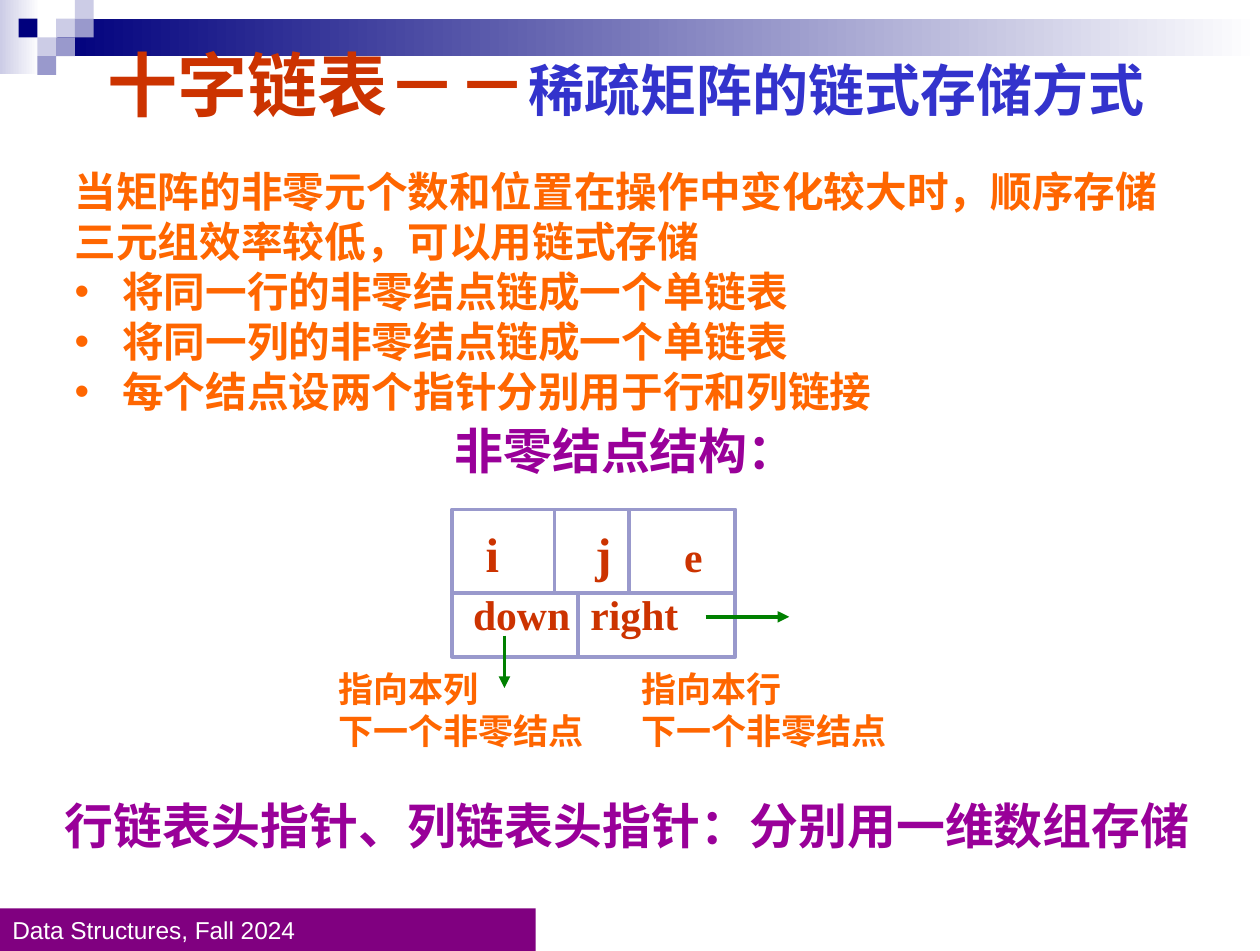
from lxml import etree
from pptx import Presentation
from pptx.dml.color import RGBColor
from pptx.enum.shapes import MSO_CONNECTOR, MSO_SHAPE
from pptx.enum.text import MSO_ANCHOR, MSO_AUTO_SIZE, PP_ALIGN
from pptx.oxml.ns import qn
from pptx.util import Inches, Pt

RECT, LINE = MSO_SHAPE.RECTANGLE, MSO_CONNECTOR.STRAIGHT
TOP, MIDDLE = MSO_ANCHOR.TOP, MSO_ANCHOR.MIDDLE
LEFT, FIXED = PP_ALIGN.LEFT, MSO_AUTO_SIZE.NONE
HAN, SERIF, SANS = "Noto Sans CJK SC", "Times New Roman", "Arial"
NAVY, PALE, LILAC = "00007D", "CCCCE6", "9999CC"
RED, BLUE, ORANGE, PURPLE, GREEN = "CC3300", "3333CC", "FF6600", "990099", "008000"
WIDE, HIGH = 10.09, 7.616
LEAD = 1.2


def color(code):
    return RGBColor.from_string(code)


def put(item, values):
    for name, value in values.items():
        setattr(item, name, value)


def block(slide, box, fill=None, edge=None):
    """Add a rectangle; a pair of fill colours makes a gradient."""
    shape = slide.shapes.add_shape(RECT, *map(Inches, box))
    shape.shadow.inherit = False
    if isinstance(fill, tuple):
        shape.fill.gradient()
        shape.fill.gradient_angle = 0
        for stop, code in zip(shape.fill.gradient_stops, fill):
            stop.color.rgb = color(code)
    elif fill:
        shape.fill.solid()
        shape.fill.fore_color.rgb = color(fill)
    else:
        shape.fill.background()
    if edge:
        shape.line.color.rgb = color(edge)
        shape.line.width = Pt(2.25)
    else:
        shape.line.fill.background()
    return shape


def line(slide, start, end, code, width=2.25, arrow=False):
    link = slide.shapes.add_connector(LINE, *map(Inches, (*start, *end)))
    link.line.color.rgb = color(code)
    link.line.width = Pt(width)
    if arrow:
        etree.SubElement(link.line._get_or_add_ln(), qn("a:tailEnd"), type="triangle")
    etree.SubElement(link._element.spPr, qn("a:effectLst"))


def frame(shape, anchor=TOP, inset=0.04):
    text = shape.text_frame
    put(text, {"word_wrap": True, "auto_size": FIXED, "vertical_anchor": anchor,
               "margin_left": Inches(0.1), "margin_right": Inches(0.1),
               "margin_top": Inches(inset), "margin_bottom": Inches(0.04)})
    return text


def write(para, runs, font=SERIF, bold=True, lead=None):
    """Fill a paragraph with (text, size, colour) runs."""
    put(para, {"alignment": LEFT, "space_before": Pt(0), "line_spacing": lead})
    for words, size, code in runs:
        run = para.add_run()
        run.text = words
        put(run.font, {"size": Pt(size), "bold": bold, "name": font})
        run.font.color.rgb = color(code)
        etree.SubElement(run._r.get_or_add_rPr(), qn("a:ea"), typeface=HAN)


def bullet(para):
    props = para._p.get_or_add_pPr()
    props.set("marL", str(Inches(0.38)))
    props.set("indent", str(-Inches(0.38)))
    etree.SubElement(props, qn("a:buFont"), typeface=SANS)
    etree.SubElement(props, qn("a:buChar"), char="•")


def tabs(para, stops):
    stop_list = etree.SubElement(para._p.get_or_add_pPr(), qn("a:tabLst"))
    for stop in stops:
        etree.SubElement(stop_list, qn("a:tab"), pos=str(Inches(stop)), algn="l")


def label(slide, box, rows, size, code, marked=False):
    """Add a text box with one paragraph a row; marked puts bullets after the first."""
    text = frame(slide.shapes.add_textbox(*map(Inches, box)))
    for n, row in enumerate(rows):
        para = text.add_paragraph() if n else text.paragraphs[0]
        if marked and n:
            bullet(para)
        write(para, [(row, size, code)], lead=Pt(round(size * LEAD, 1)))


def banner(slide, box):
    x, y, w, h = box
    step = 0.15
    block(slide, (x, y, 0.32, 0.59), (PALE, "FFFFFF"))
    block(slide, (x + 0.46, y + step, w - 0.46, h), (NAVY, "FFFFFF"))
    for col, row, code in ((3, 1, PALE), (4, 0, PALE), (4, 1, LILAC), (2, 2, PALE),
                           (1, 1, NAVY), (3, 2, LILAC), (2, 3, LILAC)):
        block(slide, (x + col * step, y + row * step, step, step), code)


def heading(slide, box):
    title = slide.shapes.title
    put(title, dict(zip(("left", "top", "width", "height"), map(Inches, box))))
    write(frame(title).paragraphs[0],
          [("十字链表－－", 40.4, RED), ("稀疏矩阵的链式存储方式", 32.3, BLUE)],
          HAN, lead=Pt(49.2))
    title._element.getparent().append(title._element)


def footer(slide, box):
    text = frame(block(slide, box, "800080"), MIDDLE)
    write(text.paragraphs[0], [("Data Structures, Fall 2024", 14.1, "FFFFFF")], SANS, False)


def node(slide, box):
    """Draw the list node with its five fields and two pointers."""
    x, y, w, h = box
    mid, low = y + 0.67, y + h
    text = frame(slide.shapes.add_textbox(*map(Inches, (x + 0.07, y + 0.08, w - 0.2, 1.04))))
    first, second = text.paragraphs[0], text.add_paragraph()
    tabs(first, (0.1, 0.98, 1.69))
    write(first, [("\ti\tj\t", 28, RED), ("e", 24, RED)])
    tabs(second, (0.94,))
    write(second, [("down\tright", 24, RED)])
    second.space_before = Pt(3.6)

    block(slide, box, edge=LILAC)
    line(slide, (x, mid), (x + w, mid), LILAC)
    for dx, top, end, width in ((0.82, y, mid, 1.5), (1.42, y, mid, 2.25),
                                (1.01, mid, low, 2.25)):
        line(slide, (x + dx, top), (x + dx, end), LILAC, width)

    line(slide, (x + 2.03, y + 0.86), (x + 2.7, y + 0.86), GREEN, arrow=True)
    line(slide, (x + 0.42, y + 1.01), (x + 0.42, y + 1.43), GREEN, arrow=True)
    for dx, head in ((-1.01, "指向本列"), (1.42, "指向本行")):
        label(slide, (x + dx, y + 1.23, 2.21, 0.79), (head, "下一个非零结点"), 20.2, ORANGE)


def main():
    deck = Presentation()
    deck.slide_width = Inches(WIDE)
    deck.slide_height = Inches(HIGH)
    slide = deck.slides.add_slide(deck.slide_layouts[5])
    banner(slide, (0, 0, WIDE, 0.3))
    footer(slide, (0, HIGH - 0.34, 4.29, 0.34))
    heading(slide, (0.76, 0.28, 8.68, 0.79))
    label(slide, (0.5, 1.29, 9.1, 2.12),
          ("当矩阵的非零元个数和位置在操作中变化较大时，顺序存储三元组效率较低，可以用链式存储",
           "将同一行的非零结点链成一个单链表",
           "将同一列的非零结点链成一个单链表",
           "每个结点设两个指针分别用于行和列链接"), 24, ORANGE, marked=True)
    label(slide, (3.54, 3.33, 3.01, 0.58), ("非零结点结构：",), 28.2, PURPLE)
    node(slide, (3.62, 4.08, 2.27, 1.18))
    label(slide, (0.42, 6.33, 9.68, 0.58),
          ("行链表头指针、列链表头指针：分别用一维数组存储",), 28.2, PURPLE)
    deck.save("out.pptx")


if __name__ == "__main__":
    main()
